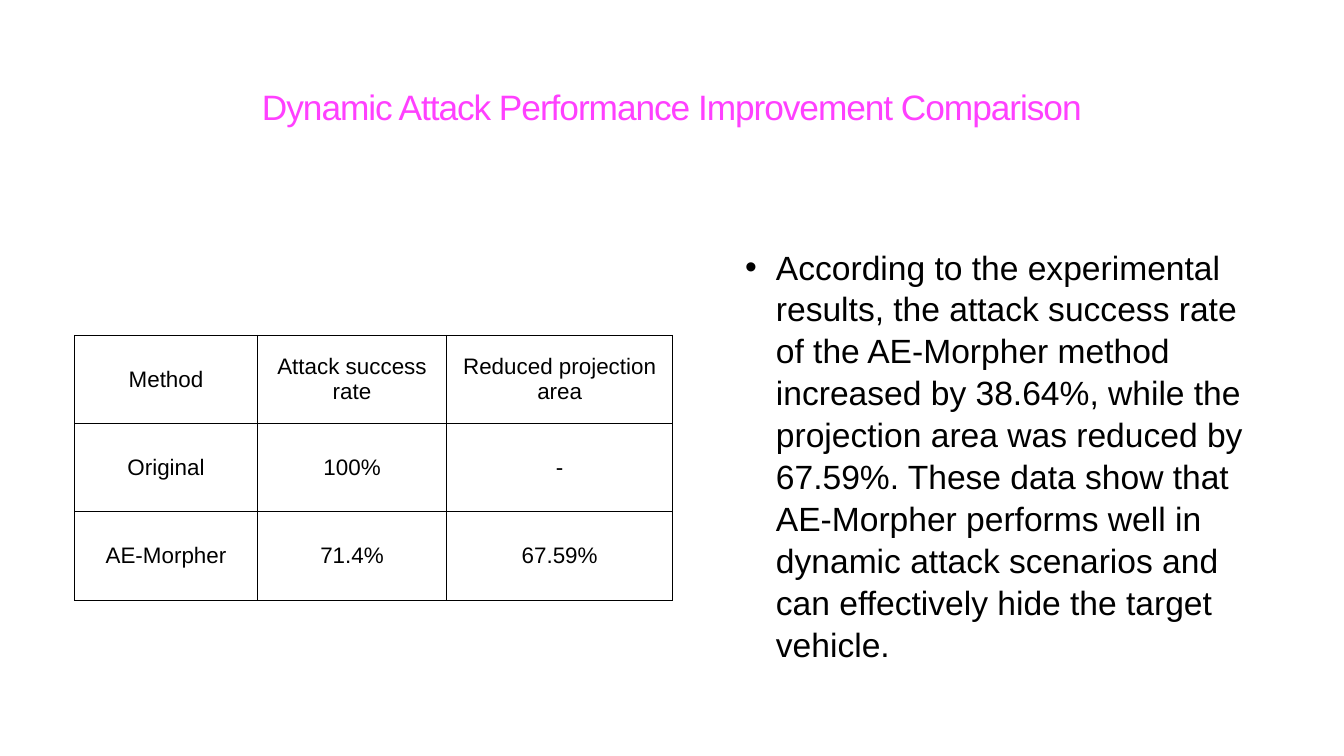
"""Build the slide comparing dynamic attack performance before and after AE-Morpher."""
from dataclasses import dataclass

from lxml import etree
from pptx import Presentation
from pptx import util as u
from pptx.dml.color import RGBColor
from pptx.enum import text
from pptx.oxml import ns

MAGENTA = RGBColor(0xFF, 0x40, 0xFF)
BLACK = RGBColor(0x00, 0x00, 0x00)
FONT = "Arial"
INSET = u.Cm(0.15)
INDENT = u.Cm(1.55)
BORDER = u.Pt(1)
ROW_HEIGHT = u.Cm(4.45)
COLUMN_WIDTHS = (u.Cm(9.22), u.Cm(9.53), u.Cm(11.4))
RESULTS = (
    ("Method", "Attack success rate", "Reduced projection area"),
    ("Original", "100%", "-"),
    ("AE-Morpher", "71.4%", "67.59%"),
)


@dataclass(frozen=True)
class TextBlock:
    words: str
    left: float
    top: float
    width: float
    height: float
    size: float
    color: RGBColor
    anchor: text.MSO_ANCHOR
    align: text.PP_ALIGN
    line_spacing: float
    tracking: float = 0
    bulleted: bool = False


TITLE = TextBlock(
    "Dynamic Attack Performance Improvement Comparison",
    10.64, 2.29, 46.46, 4.29, 50.4, MAGENTA,
    text.MSO_ANCHOR.BOTTOM, text.PP_ALIGN.CENTER, 0.8, tracking=-1.5,
)
FINDING = TextBlock(
    "According to the experimental results, the attack success rate of the "
    "AE-Morpher method increased by 38.64%, while the projection area was "
    "reduced by 67.59%. These data show that AE-Morpher performs well in "
    "dynamic attack scenarios and can effectively hide the target vehicle.",
    37.41, 12.19, 26.82, 23.42, 48, BLACK,
    text.MSO_ANCHOR.TOP, text.PP_ALIGN.LEFT, 1.04, bulleted=True,
)


def set_margins(holder) -> None:
    holder.margin_left = holder.margin_right = INSET
    holder.margin_top = holder.margin_bottom = INSET


def add_span(para, words: str, size: float, color: RGBColor):
    span = para.add_run()
    span.text = words
    span.font.name = FONT
    span.font.size = u.Pt(size)
    span.font.color.rgb = color
    return span


def add_bullet(para) -> None:
    properties = para._p.get_or_add_pPr()
    properties.set("marL", str(INDENT))
    properties.set("indent", str(-INDENT))
    etree.SubElement(properties, ns.qn("a:buFont"), typeface=FONT)
    etree.SubElement(properties, ns.qn("a:buChar"), char="•")


def add_block(slide, block: TextBlock) -> None:
    box = slide.shapes.add_textbox(
        u.Cm(block.left), u.Cm(block.top), u.Cm(block.width), u.Cm(block.height)
    )
    frame = box.text_frame
    frame.word_wrap = True
    frame.vertical_anchor = block.anchor
    set_margins(frame)
    para = frame.paragraphs[0]
    para.alignment = block.align
    para.line_spacing = block.line_spacing
    span = add_span(para, block.words, block.size, block.color)
    if block.tracking:
        span.font._element.set("spc", str(round(block.tracking * 100)))
    if block.bulleted:
        add_bullet(para)


def add_borders(cell) -> None:
    properties = cell._tc.get_or_add_tcPr()
    for position, side in enumerate(("lnL", "lnR", "lnT", "lnB")):
        line = etree.Element(ns.qn(f"a:{side}"), w=str(BORDER))
        fill = etree.SubElement(line, ns.qn("a:solidFill"))
        etree.SubElement(fill, ns.qn("a:srgbClr"), val=str(BLACK))
        properties.insert(position, line)


def add_results(slide) -> None:
    table = slide.shapes.add_table(
        len(RESULTS), len(COLUMN_WIDTHS), u.Cm(3.76), u.Cm(16.89),
        sum(COLUMN_WIDTHS), ROW_HEIGHT * len(RESULTS),
    ).table
    table.first_row = table.horz_banding = False
    for column, width in zip(table.columns, COLUMN_WIDTHS):
        column.width = width
    for row, entries in zip(table.rows, RESULTS):
        row.height = ROW_HEIGHT
        for cell, words in zip(row.cells, entries):
            cell.fill.background()
            cell.vertical_anchor = text.MSO_ANCHOR.MIDDLE
            set_margins(cell)
            add_borders(cell)
            para = cell.text_frame.paragraphs[0]
            para.alignment = text.PP_ALIGN.CENTER
            add_span(para, words, 32, BLACK)


def main() -> None:
    deck = Presentation()
    deck.slide_width, deck.slide_height = u.Cm(67.74), u.Cm(38.1)
    slide = deck.slides.add_slide(deck.slide_layouts[6])
    add_block(slide, TITLE)
    add_block(slide, FINDING)
    add_results(slide)
    deck.save("out.pptx")


if __name__ == "__main__":
    main()
